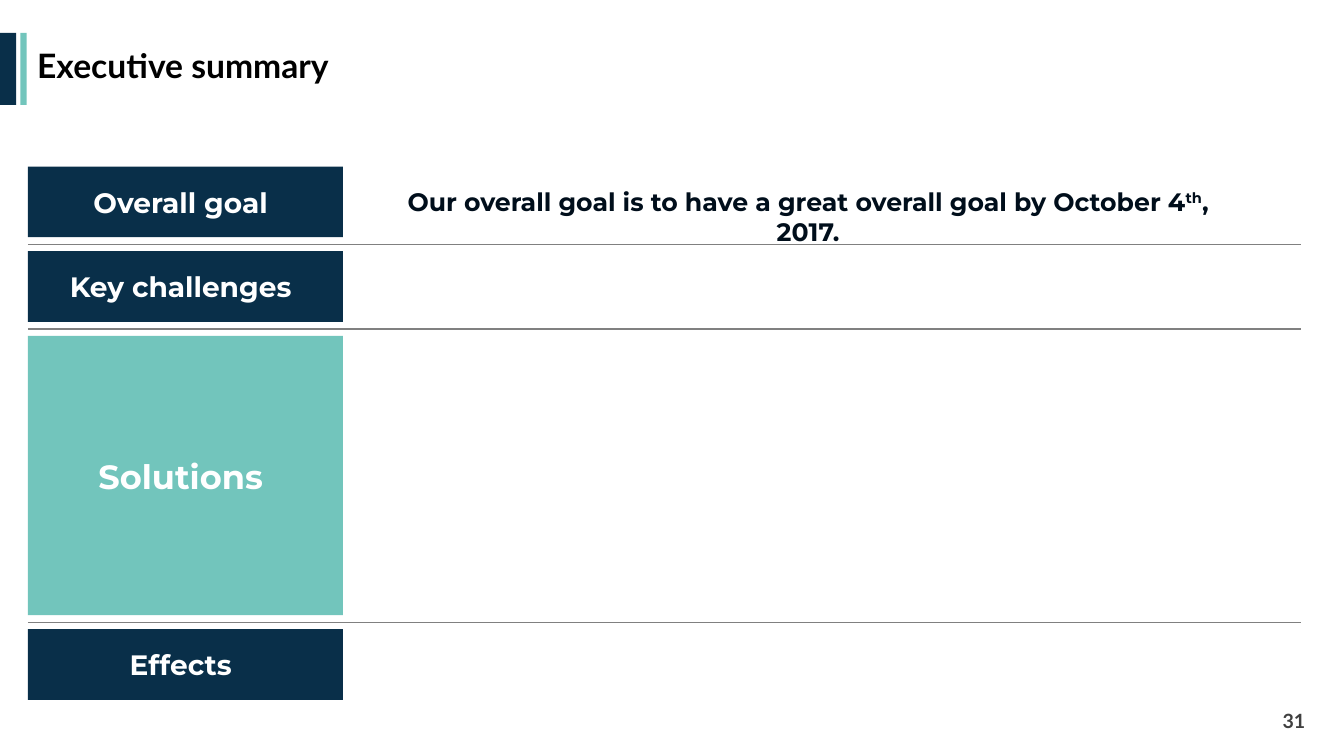
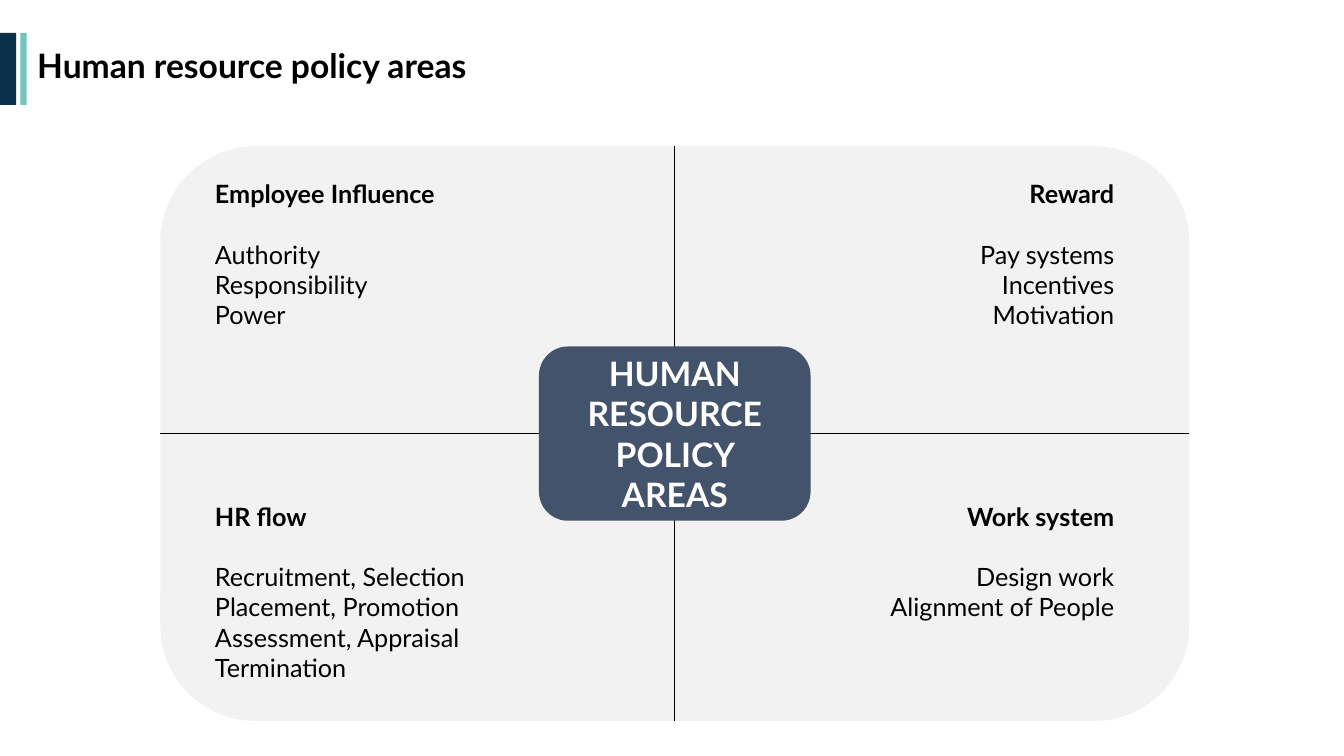
from lxml import etree
from pptx import Presentation
from pptx.dml.color import RGBColor
from pptx.enum.shapes import MSO_CONNECTOR, MSO_SHAPE
from pptx.enum.text import MSO_ANCHOR, PP_ALIGN
from pptx.oxml.ns import qn
from pptx.util import Pt

RECTANGLE, ROUNDED = MSO_SHAPE.RECTANGLE, MSO_SHAPE.ROUNDED_RECTANGLE
STRAIGHT = MSO_CONNECTOR.STRAIGHT
LEFT, CENTER, RIGHT = PP_ALIGN.LEFT, PP_ALIGN.CENTER, PP_ALIGN.RIGHT
TOP, MIDDLE = MSO_ANCHOR.TOP, MSO_ANCHOR.MIDDLE

COLORS = {
    "navy": "092F49",
    "teal": "72C5BC",
    "slate": "44536C",
    "panel": "F2F2F2",
    "rule": "808080",
    "number": "404040",
    "goal": "000E1B",
    "black": "000000",
    "white": "FFFFFF",
}
BODY_FONT, LABEL_FONT = "Lato", "Montserrat"


def color(name):
    return RGBColor.from_string(COLORS[name])


def add_block(slide, box, fill, kind=RECTANGLE):
    shape = slide.shapes.add_shape(kind, *map(Pt, box))
    shape.shadow.inherit = False
    shape.fill.solid()
    shape.fill.fore_color.rgb = color(fill)
    shape.line.fill.background()
    return shape


def add_line(slide, start, end, line_color, width):
    line = slide.shapes.add_connector(STRAIGHT, *map(Pt, (*start, *end)))
    line.line.color.rgb = color(line_color)
    line.line.width = Pt(width)
    etree.SubElement(line._element.spPr, qn("a:effectLst"))
    return line


def add_run(paragraph, text, size, font, text_color, bold, superscript=False):
    run = paragraph.add_run()
    run.text = text
    run.font.size = Pt(size)
    run.font.name = font
    run.font.bold = bold
    run.font.color.rgb = color(text_color)
    if superscript:
        run._r.get_or_add_rPr().set("baseline", "30000")


def write_text(shape, text, size=18, font=BODY_FONT, text_color="black", bold=False,
               align=LEFT, anchor=TOP, line_spacing=None, heading_gap=None,
               superscript="", left=7.2, right=7.2):
    """Write one paragraph per line; heading_gap makes the first a bold heading,
    and the text given as superscript is raised wherever it is marked by ^."""
    frame = shape.text_frame
    frame.word_wrap = True
    frame.vertical_anchor = anchor
    frame.margin_left, frame.margin_right = Pt(left), Pt(right)
    for index, line in enumerate(text.split("\n")):
        paragraph = frame.paragraphs[0] if index == 0 else frame.add_paragraph()
        paragraph.alignment = align
        if line_spacing:
            paragraph.line_spacing = line_spacing
        is_heading = heading_gap is not None and index == 0
        if is_heading:
            paragraph.space_after = Pt(heading_gap)
        style = (size, font, text_color, bold or is_heading)
        before, mark, after = line.partition("^" + superscript)
        add_run(paragraph, before, *style)
        if mark:
            add_run(paragraph, superscript, *style, superscript=True)
            add_run(paragraph, after, *style)


def add_text(slide, box, text, **text_format):
    write_text(slide.shapes.add_textbox(*map(Pt, box)), text, **text_format)


def add_titled_slide(presentation, title):
    slide = presentation.slides.add_slide(presentation.slide_layouts[6])
    add_block(slide, (0, 23.5, 11.5, 51.5), "navy")
    add_block(slide, (14.5, 23.5, 4.5, 51.5), "teal")
    add_text(slide, (19.5, 23, 919.5, 51), title, size=24, bold=True,
             anchor=MIDDLE, line_spacing=0.9)
    return slide


def add_summary_rows(slide, box, rows, label_width=225, gap=10):
    """Stack labelled rows in the box, with a rule in the middle of each gap."""
    left, top, width = box
    for index, (label, height, fill, size) in enumerate(rows):
        if index:
            rule_top = top - gap / 2
            add_line(slide, (left, rule_top), (left + width, rule_top), "rule", 1)
        block = add_block(slide, (left, top, label_width, height), fill)
        write_text(block, label, size=size, font=LABEL_FONT, text_color="white",
                   bold=True, align=CENTER, anchor=MIDDLE, right=14)
        top += height + gap


def build_summary(presentation):
    slide = add_titled_slide(presentation, "Executive summary")
    left, top = 20, 119
    add_summary_rows(slide, (left, top, 909.5), [
        ("Overall goal", 50.5, "navy", 20),
        ("Key challenges", 50.5, "navy", 20),
        ("Solutions", 199.5, "teal", 24),
        ("Effects", 50.5, "navy", 20),
    ])
    add_text(slide, (left + 240.5, top + 10.5, 633.5, 29),
             "Our overall goal is to have a great overall goal by October 4^th, 2017.",
             font=LABEL_FONT, text_color="goal", bold=True, align=CENTER,
             superscript="th")
    add_text(slide, (723.5, 500.5, 216, 29), "31", size=14, text_color="number",
             bold=True, align=RIGHT, anchor=MIDDLE)


def add_quadrants(slide, box, center_label, quadrants):
    """Draw a panel split in four, with a badge at its center."""
    left, top, width, height = box
    center_x, center_y = left + width / 2, top + height / 2
    panel = add_block(slide, box, "panel", ROUNDED)
    for start_side, end_side in ((0, 2), (1, 3)):
        divider = add_line(slide, (left, top), (center_x, center_y), "black", 0.5)
        divider.begin_connect(panel, start_side)
        divider.end_connect(panel, end_side)

    badge_width, badge_height = 194, 124.5
    badge = add_block(slide, (center_x - badge_width / 2, center_y - badge_height / 2,
                              badge_width, badge_height), "slate", ROUNDED)
    write_text(badge, center_label, size=24, text_color="white", bold=True,
               align=CENTER, anchor=MIDDLE, left=27, right=27)

    text_width, text_height = 224, 138
    columns = ((left + 32, LEFT), (left + width - 46.5 - text_width, RIGHT))
    row_tops = (top + 19.5, center_y + 44.5)
    for index, text in enumerate(quadrants):
        row, column = divmod(index, 2)
        text_left, align = columns[column]
        add_text(slide, (text_left, row_tops[row], text_width, text_height), text,
                 align=align, heading_gap=21.6)


def build_policy_areas(presentation):
    slide = add_titled_slide(presentation, "Human resource policy areas")
    add_quadrants(slide, (114.5, 104.5, 735, 410.5), "HUMAN RESOURCE POLICY AREAS", [
        "Employee Influence\nAuthority\nResponsibility\nPower",
        "Reward\nPay systems\nIncentives\nMotivation",
        "HR flow\nRecruitment, Selection\nPlacement, Promotion\n"
        "Assessment, Appraisal\nTermination",
        "Work system\nDesign work\nAlignment of People",
    ])


def main():
    presentation = Presentation()
    presentation.slide_width, presentation.slide_height = Pt(960), Pt(540)
    build_summary(presentation)
    build_policy_areas(presentation)
    presentation.save("out.pptx")


if __name__ == "__main__":
    main()
